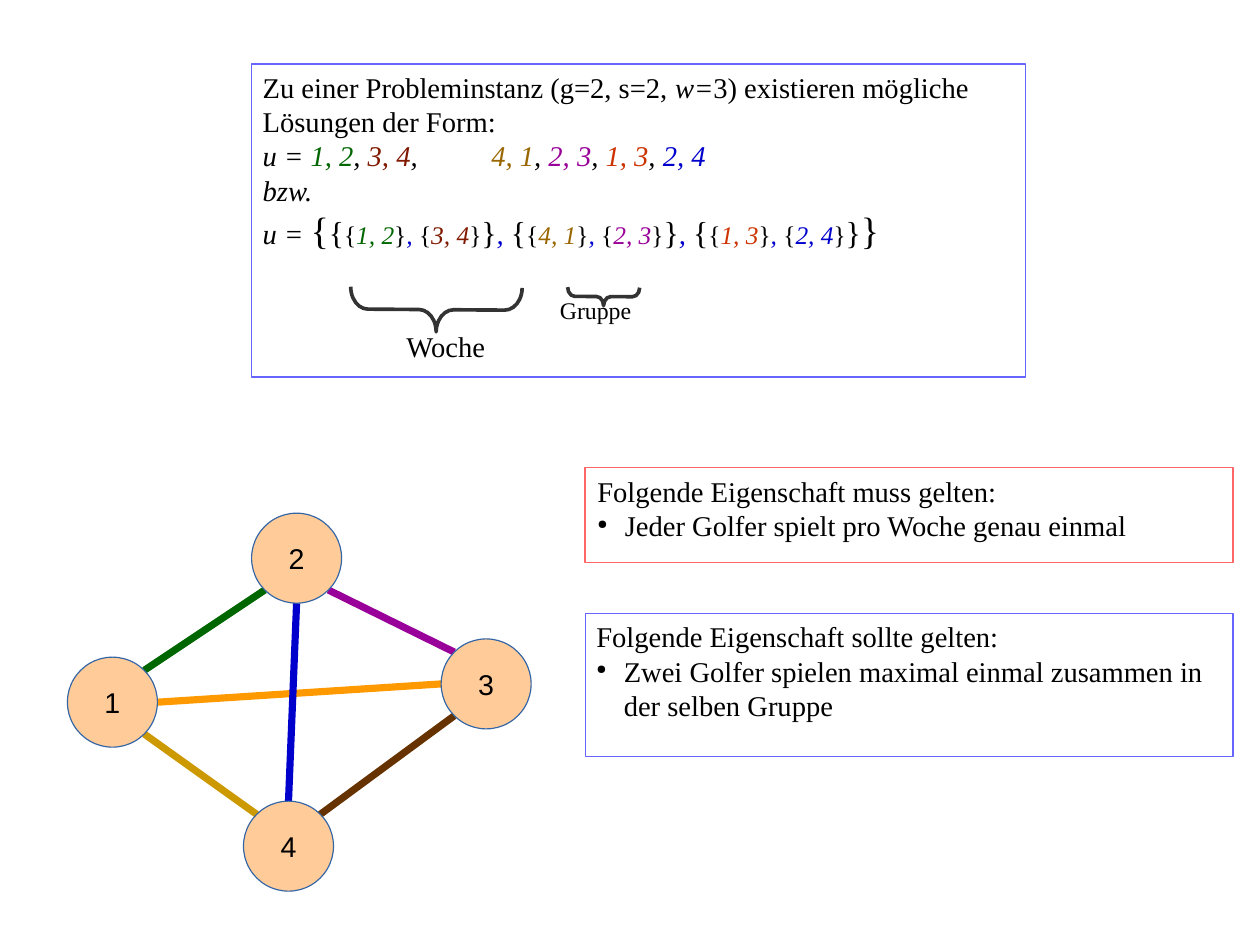
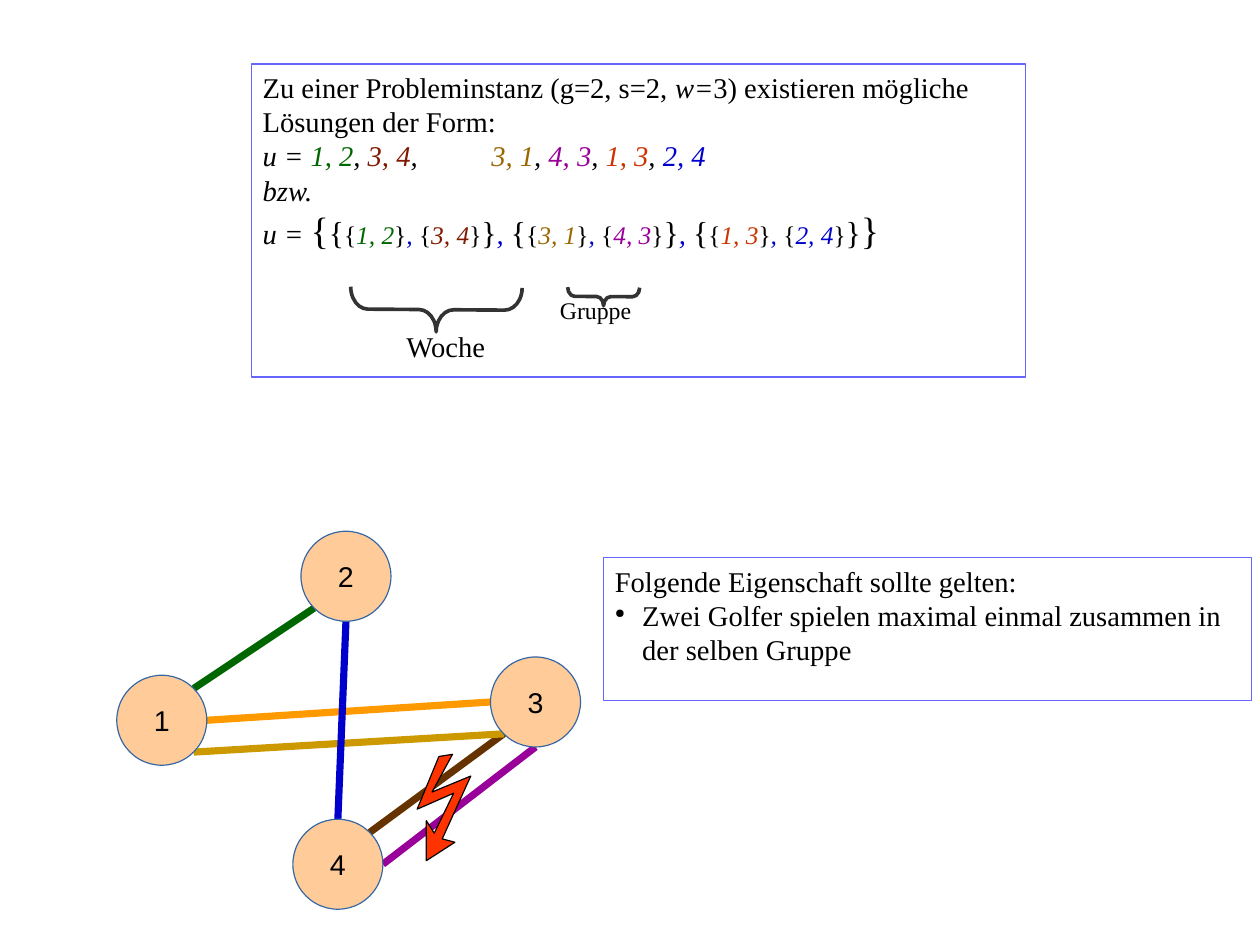
import math

import pptx
import pptx.dml.color
import pptx.enum.shapes
import pptx.enum.text
import pptx.util
from lxml import etree
from pptx.oxml.ns import qn

Pt = pptx.util.Pt
SHAPES = pptx.enum.shapes.MSO_SHAPE
ALIGN = pptx.enum.text.PP_ALIGN
ANCHOR = pptx.enum.text.MSO_ANCHOR

SERIF, SANS = "Times New Roman", "Arial"
BLACK, BLUE, RED = "000000", "6666FF", "FF6666"
BRACE, NODE_FILL, NODE_LINE = "333333", "FFCC99", "3465A4"
SEPARATOR, BOLT = "0000CC", "FF3300"
GREEN, BROWN, GOLD = "006600", "663300", "CC9900"
PURPLE, ORANGE, DARK_BLUE = "990099", "FF9900", "0000CC"
GROUP_COLORS = [["006600", "801900"], ["996600", "990099"], ["CC3300", "0000CC"]]

DIAMETER = 56.7
NODES = {"2": (116, 0), "3": (235.4, 79.2), "4": (110.9, 181.4), "1": (0, 90.7)}
ANGLES = {"right": 0, "bottom right": 45, "bottom": 90, "bottom left": 135,
          "left": 180, "top left": 225, "top": 270, "top right": 315}
COMMON_EDGES = [
    ("1", "top right", "2", "bottom left", GREEN),
    ("3", "bottom left", "4", "top right", BROWN),
]
CROSSING_EDGES = [
    ("1", "right", "3", "left", ORANGE),
    ("2", "bottom", "4", "top", DARK_BLUE),
]
VALID_EDGES = COMMON_EDGES + [
    ("4", "top left", "1", "bottom right", GOLD),
    ("2", "bottom right", "3", "top left", PURPLE),
] + CROSSING_EDGES
CONFLICT_EDGES = COMMON_EDGES + [
    ("3", "bottom left", "1", "bottom right", GOLD),
    ("4", "right", "3", "bottom", PURPLE),
] + CROSSING_EDGES
BOLT_POINTS = [(33.8, 13.7), (9.4, 23.8), (22.3, 0), (13.7, 1.4), (0, 34.6), (23, 24.5),
               (10.8, 49.7), (5.8, 41.8), (5.8, 67), (23.8, 55.4), (15.8, 53.3)]


def color(value):
    """Return the colour for a hex string."""
    return pptx.dml.color.RGBColor.from_string(value)


def style_shape(shape, fill=None, line=None, width=0):
    """Set fill and outline of a shape and drop its shadow."""
    shape.shadow.inherit = False
    if fill:
        shape.fill.solid()
        shape.fill.fore_color.rgb = color(fill)
    else:
        shape.fill.background()
    shape.line.color.rgb = color(line)
    shape.line.width = Pt(width)


def add_run(paragraph, text, size=18, font=SERIF, fill=BLACK, italic=False):
    """Append formatted text to a paragraph."""
    run = paragraph.add_run()
    run.text = text
    run.font.size = Pt(size)
    run.font.name = font
    run.font.italic = italic
    run.font.color.rgb = color(fill)


def add_panel(slide, box, line, width=0):
    """Add an outlined rectangle for text and return its text frame."""
    shape = slide.shapes.add_shape(SHAPES.RECTANGLE, *map(Pt, box))
    style_shape(shape, line=line, width=width)
    frame = shape.text_frame
    frame.word_wrap = True
    frame.vertical_anchor = ANCHOR.TOP
    frame.paragraphs[0].alignment = ALIGN.LEFT
    return frame


def next_paragraph(frame):
    """Append a left-aligned paragraph."""
    paragraph = frame.add_paragraph()
    paragraph.alignment = ALIGN.LEFT
    return paragraph


def add_tabs(paragraph, positions):
    """Set left tab stops in points."""
    tabs = etree.SubElement(paragraph._p.get_or_add_pPr(), qn("a:tabLst"))
    for position in positions:
        etree.SubElement(tabs, qn("a:tab"), pos=str(Pt(position)), algn="l")


def add_bullet(paragraph, indent=17.3):
    """Give a paragraph a small round bullet and a hanging indent."""
    properties = paragraph._p.get_or_add_pPr()
    properties.set("marL", str(Pt(indent)))
    properties.set("indent", str(-Pt(indent)))
    bullet_color = etree.SubElement(properties, qn("a:buClr"))
    etree.SubElement(bullet_color, qn("a:srgbClr"), val=BLACK)
    etree.SubElement(properties, qn("a:buSzPct"), val="45000")
    etree.SubElement(properties, qn("a:buChar"), char="●")


def add_label(slide, text, box, size, alignment):
    """Add a short plain label."""
    frame = slide.shapes.add_textbox(*map(Pt, box)).text_frame
    frame.word_wrap = True
    frame.paragraphs[0].alignment = alignment
    add_run(frame.paragraphs[0], text, size=size)


def add_brace(slide, center_x, center_y, length, depth):
    """Add a brace that opens upwards around a centre."""
    shape = slide.shapes.add_shape(
        SHAPES.RIGHT_BRACE, Pt(center_x - depth / 2), Pt(center_y - length / 2),
        Pt(depth), Pt(length))
    shape.rotation = 90.4
    shape.adjustments[0] = 0.39
    style_shape(shape, line=BRACE, width=2.3)


def write_flat_solution(paragraph, weeks):
    """Write the solution as a plain sequence of groups."""
    add_tabs(paragraph, [144, 216])
    add_run(paragraph, "u = ", italic=True)
    for week_index, (week, colors) in enumerate(zip(weeks, GROUP_COLORS)):
        if week_index:
            add_run(paragraph, ",\t", italic=True)
        for group_index, (group, fill) in enumerate(zip(week, colors)):
            if group_index:
                add_run(paragraph, ", ", italic=True)
            add_run(paragraph, group, fill=fill, italic=True)


def write_nested_solution(paragraph, weeks):
    """Write the solution as a set of weeks made of groups."""
    add_run(paragraph, "u = ", italic=True)
    add_run(paragraph, "{", size=24)
    for week_index, (week, colors) in enumerate(zip(weeks, GROUP_COLORS)):
        if week_index:
            add_run(paragraph, ", ", fill=SEPARATOR, italic=True)
        add_run(paragraph, "{", size=20)
        for group_index, (group, fill) in enumerate(zip(week, colors)):
            if group_index:
                add_run(paragraph, ", ", size=16, fill=SEPARATOR, italic=True)
            add_run(paragraph, "{", size=16)
            add_run(paragraph, group, size=16, fill=fill, italic=True)
            add_run(paragraph, "}", size=16)
        add_run(paragraph, "}", size=20)
    add_run(paragraph, "}", size=24)


def add_solution(slide, weeks, box=(158.4, 40.3, 487.4, 197.3)):
    """Add the panel with both notations, the braces and their labels."""
    left, top = box[:2]
    frame = add_panel(slide, box, BLUE)
    introduction = frame.paragraphs[0]
    add_run(introduction, "Zu einer Probleminstanz (g=2, s=2, ")
    add_run(introduction, "w=", italic=True)
    add_run(introduction, "3) existieren mögliche Lösungen der Form:")
    write_flat_solution(next_paragraph(frame), weeks)
    add_run(next_paragraph(frame), "bzw.", italic=True)
    write_nested_solution(next_paragraph(frame), weeks)
    add_brace(slide, left + 116.4, top + 154.8, 108, 28.1)
    add_label(slide, "Woche", (left + 79.9, top + 163.5, 85, 33.1), 18, ALIGN.CENTER)
    add_brace(slide, left + 221.8, top + 146.5, 45.4, 11.5)
    add_label(slide, "Gruppe", (left + 187.2, top + 142.6, 79.2, 28.8), 15, ALIGN.LEFT)


def add_property(slide, box, heading, item, line=BLUE, width=0):
    """Add a panel with a heading and one bulleted property."""
    frame = add_panel(slide, box, line, width)
    inset = width / 2
    frame.margin_left = frame.margin_right = Pt(7.2 + inset)
    frame.margin_top = frame.margin_bottom = Pt(3.6 + inset)
    add_run(frame.paragraphs[0], heading)
    paragraph = next_paragraph(frame)
    add_bullet(paragraph)
    add_run(paragraph, item)


def add_pair_rule(slide, left, top):
    """Add the panel for the rule about pairs of golfers."""
    add_property(slide, (left, top, 408.2, 90), "Folgende Eigenschaft sollte gelten:",
                 "Zwei Golfer spielen maximal einmal zusammen in der selben Gruppe")


def rim_point(left, top, node, side):
    """Return the point on a node's rim on the named side."""
    angle = math.radians(ANGLES[side])
    radius = DIAMETER / 2
    x, y = NODES[node]
    return (Pt(left + x + radius * (1 + math.cos(angle))),
            Pt(top + y + radius * (1 + math.sin(angle))))


def add_graph(slide, left, top, edges):
    """Add the graph of golfers with its coloured edges."""
    for start, start_side, end, end_side, line in edges:
        connector = slide.shapes.add_connector(
            pptx.enum.shapes.MSO_CONNECTOR.STRAIGHT,
            *rim_point(left, top, start, start_side), *rim_point(left, top, end, end_side))
        connector.line.color.rgb = color(line)
        connector.line.width = Pt(4.5)
        etree.SubElement(connector._element.spPr, qn("a:effectLst"))
    for name, (x, y) in NODES.items():
        node = slide.shapes.add_shape(
            SHAPES.OVAL, Pt(left + x), Pt(top + y), Pt(DIAMETER), Pt(DIAMETER))
        style_shape(node, fill=NODE_FILL, line=NODE_LINE)
        frame = node.text_frame
        frame.word_wrap = False
        frame.vertical_anchor = ANCHOR.MIDDLE
        frame.paragraphs[0].alignment = ALIGN.CENTER
        add_run(frame.paragraphs[0], name, font=SANS)


def add_bolt(slide, left, top):
    """Add the lightning bolt that marks the conflict."""
    points = [(Pt(left + x), Pt(top + y)) for x, y in BOLT_POINTS]
    builder = slide.shapes.build_freeform(*points[0], scale=1.0)
    builder.add_line_segments(points[1:], close=True)
    style_shape(builder.convert_to_shape(), fill=BOLT, line=BLACK)


def add_valid_slide(presentation):
    """Add the slide with a valid solution."""
    slide = presentation.slides.add_slide(presentation.slide_layouts[6])
    add_solution(slide, [["1, 2", "3, 4"], ["4, 1", "2, 3"], ["1, 3", "2, 4"]])
    add_property(slide, (368.6, 294.5, 408.2, 59.8), "Folgende Eigenschaft muss gelten:",
                 "Jeder Golfer spielt pro Woche genau einmal", line=RED, width=1)
    add_graph(slide, 42.5, 323.3, VALID_EDGES)
    add_pair_rule(slide, 368.6, 386.6)


def add_conflict_slide(presentation):
    """Add the slide with a solution that breaks the pair rule."""
    slide = presentation.slides.add_slide(presentation.slide_layouts[6])
    add_solution(slide, [["1, 2", "3, 4"], ["3, 1", "4, 3"], ["1, 3", "2, 4"]])
    add_graph(slide, 73.6, 334.7, CONFLICT_EDGES)
    add_pair_rule(slide, 380.2, 351.4)
    add_bolt(slide, 262.8, 475.2)


def main():
    """Build and save the presentation."""
    presentation = pptx.Presentation()
    presentation.slide_width = Pt(793.7)
    presentation.slide_height = Pt(595.3)
    add_valid_slide(presentation)
    add_conflict_slide(presentation)
    presentation.save("out.pptx")


if __name__ == "__main__":
    main()
